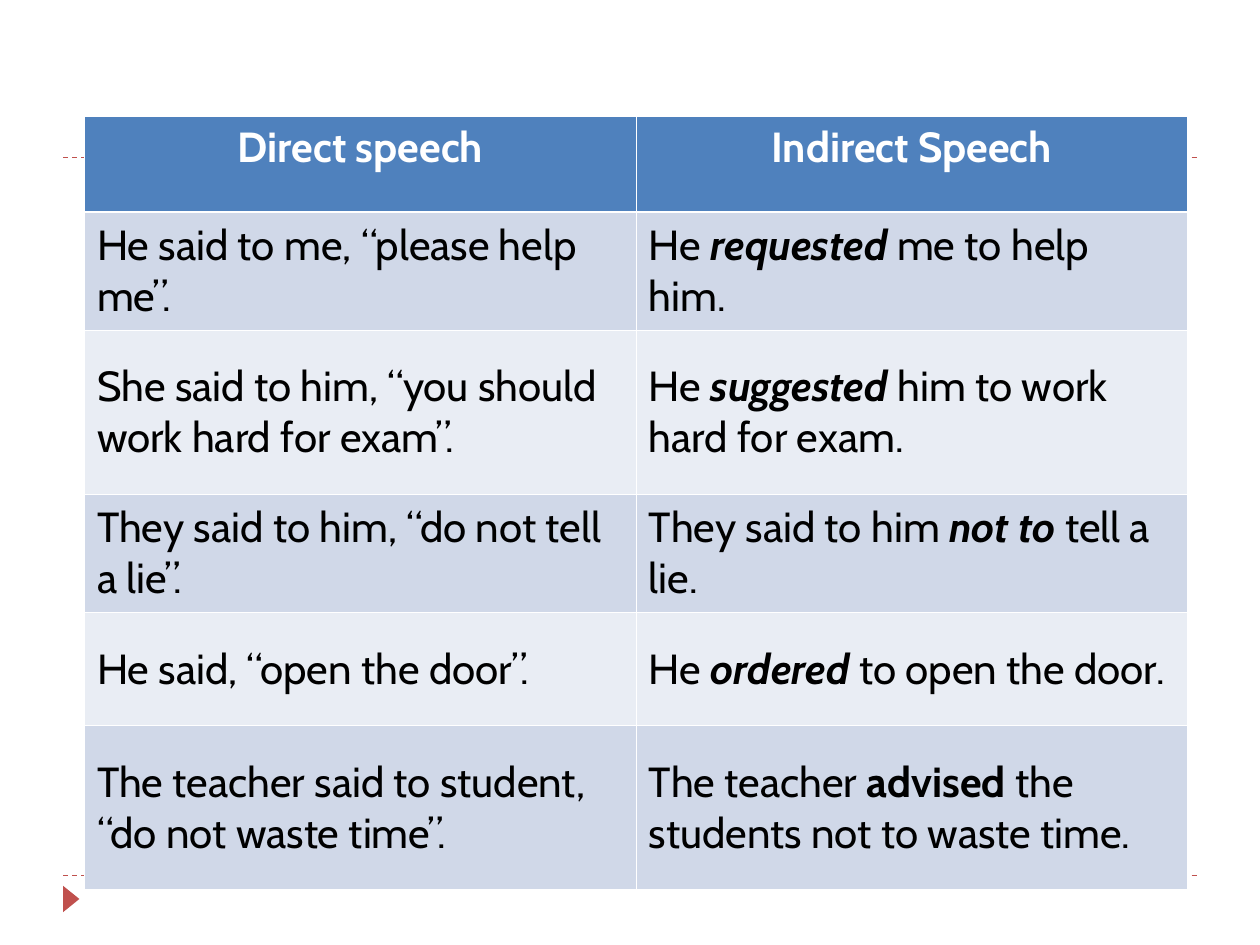
from lxml.etree import SubElement
from pptx import Presentation
from pptx.dml.color import RGBColor
from pptx.enum.dml import MSO_LINE
from pptx.enum.shapes import MSO_CONNECTOR, MSO_SHAPE
from pptx.enum.text import MSO_ANCHOR, PP_ALIGN
from pptx.oxml.ns import qn
from pptx.util import Inches, Pt

THEME = {
    "accent": RGBColor.from_string("C0504D"),
    "header": RGBColor.from_string("4F81BD"),
    "bands": [RGBColor.from_string("D0D8E8"), RGBColor.from_string("E9EDF4")],
    "header_text": RGBColor.from_string("FFFFFF"),
    "body_text": RGBColor.from_string("000000"),
    "border": "FFFFFF",
    "thin": 0.45,
    "thick": 1.47,
    "font": "Cabin",
    "size": Pt(24),
}
BOLD = {"bold": True, "italic": False}
BOLD_ITALIC = {"bold": True, "italic": True}
PLAIN = {"bold": False, "italic": False}

COLUMN_WIDTHS = [4.38, 4.37]
ROW_HEIGHTS = [0.76, 0.94, 1.3, 0.94, 0.9, 1.3]
HEADINGS = ["Direct speech", "Indirect Speech"]
# Direct sentence, then the indirect one as start, reporting verb, verb style, end
EXAMPLES = [
    ("He said to me, “please help me”.",
     "He ", "requested", BOLD_ITALIC, " me to help him."),
    ("She said to him, “you should work hard for exam”.",
     "He ", "suggested", BOLD_ITALIC, " him to work hard for exam."),
    ("They said to him, “do not tell a lie”.",
     "They said to him ", "not to", BOLD_ITALIC, " tell a lie."),
    ("He said, “open the door”.",
     "He ", "ordered", BOLD_ITALIC, " to open the door."),
    ("The teacher said to student, “do not waste time”.",
     "The teacher ", "advised ", BOLD, "the students not to waste time."),
]


def add_borders(cell, top, bottom):
    """Draw all four cell borders; top and bottom are widths in points."""
    properties = cell._tc.get_or_add_tcPr()
    widths = {"lnL": THEME["thin"], "lnR": THEME["thin"], "lnT": top, "lnB": bottom}
    for side, width in widths.items():
        line = SubElement(properties, qn(f"a:{side}"), w=str(Pt(width)))
        fill = SubElement(line, qn("a:solidFill"))
        SubElement(fill, qn("a:srgbClr"), val=THEME["border"])


def fill_cell(cell, fill_color, text_color, runs):
    cell.fill.solid()
    cell.fill.fore_color.rgb = fill_color
    paragraph = cell.text_frame.paragraphs[0]
    for text, style in runs:
        run = paragraph.add_run()
        run.text = text
        run.font.color.rgb = text_color
        for name, value in {"name": THEME["font"], "size": THEME["size"], **style}.items():
            setattr(run.font, name, value)


presentation = Presentation()
presentation.slide_width = Inches(10)
presentation.slide_height = Inches(7.5)
slide = presentation.slides.add_slide(presentation.slide_layouts[6])

# Dashed rules and corner marker
for y in (6.95, 1.25):
    rule = slide.shapes.add_connector(
        MSO_CONNECTOR.STRAIGHT, Inches(0.5), Inches(y), Inches(9.5), Inches(y))
    rule.line.color.rgb = THEME["accent"]
    rule.line.width = Pt(0.75)
    rule.line.dash_style = MSO_LINE.DASH
    SubElement(rule._element.spPr, qn("a:effectLst"))

marker = slide.shapes.add_shape(
    MSO_SHAPE.ISOSCELES_TRIANGLE, Inches(0.46), Inches(7.07), Inches(0.21), Inches(0.13))
marker.rotation = 90
marker.shadow.inherit = False
marker.fill.solid()
marker.fill.fore_color.rgb = THEME["accent"]
marker.line.fill.background()

# Speech table
table = slide.shapes.add_table(
    len(ROW_HEIGHTS), len(COLUMN_WIDTHS), Inches(0.67), Inches(0.92),
    Inches(sum(COLUMN_WIDTHS)), Inches(sum(ROW_HEIGHTS))).table
for column, width in zip(table.columns, COLUMN_WIDTHS):
    column.width = Inches(width)
for row, height in zip(table.rows, ROW_HEIGHTS):
    row.height = Inches(height)

for column, heading in enumerate(HEADINGS):
    cell = table.cell(0, column)
    add_borders(cell, THEME["thin"], THEME["thick"])
    fill_cell(cell, THEME["header"], THEME["header_text"], [(heading, BOLD)])
    cell.text_frame.paragraphs[0].alignment = PP_ALIGN.CENTER

for row, (direct, start, verb, verb_style, end) in enumerate(EXAMPLES, 1):
    indirect = [(start, PLAIN), (verb, verb_style), (end, PLAIN)]
    for column, runs in enumerate([[(direct, PLAIN)], indirect]):
        cell = table.cell(row, column)
        cell.vertical_anchor = MSO_ANCHOR.MIDDLE
        add_borders(cell, THEME["thick"] if row == 1 else THEME["thin"], THEME["thin"])
        fill_cell(cell, THEME["bands"][(row - 1) % 2], THEME["body_text"], runs)

presentation.save("out.pptx")
